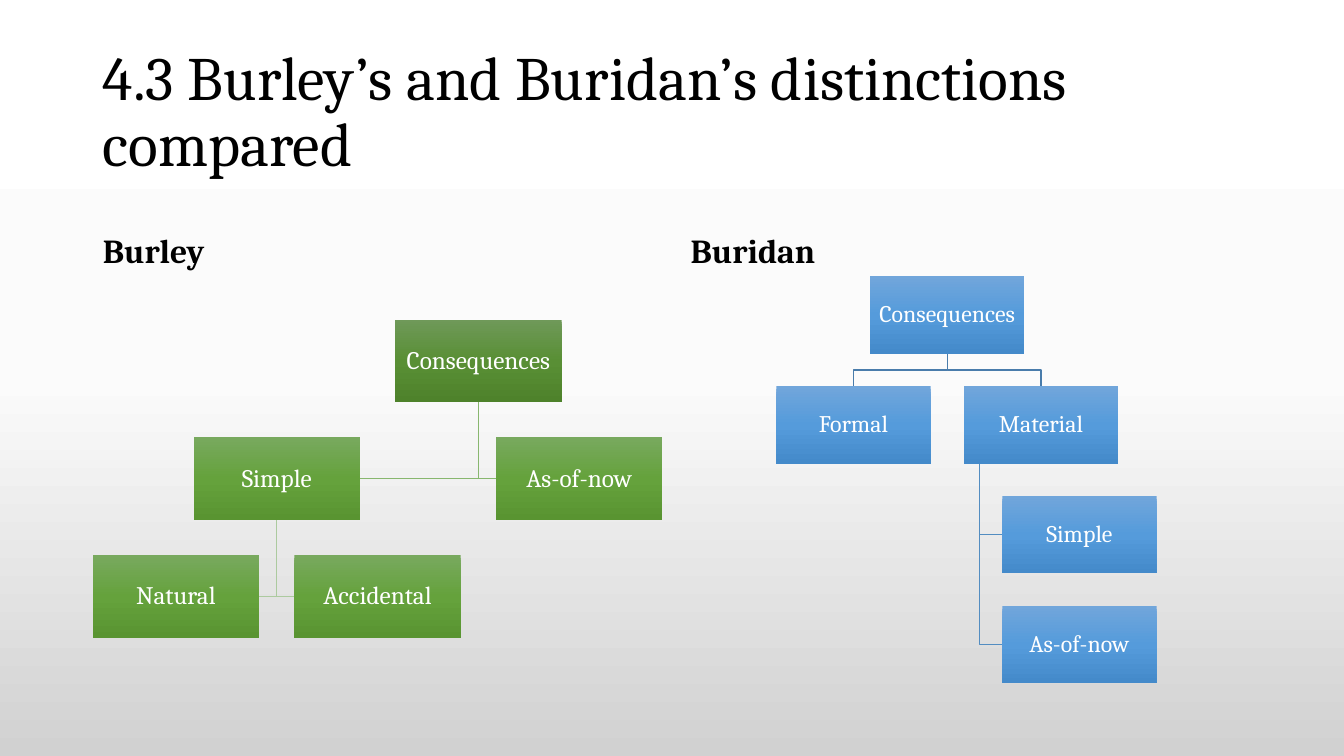
from copy import deepcopy
from dataclasses import dataclass

from pptx import Presentation
from pptx.dml.color import RGBColor
from pptx.enum.text import MSO_ANCHOR, MSO_AUTO_SIZE, PP_ALIGN
from pptx.util import Inches, Pt


@dataclass(frozen=True)
class Theme:
    font: str = "Cambria"
    ink: str = "000000"
    box_ink: str = "FFFFFF"
    title_size: int = 44
    heading_size: int = 24
    line_width: int = 1
    page: tuple = ("FFFFFF", "FBFBFB", "D1D1D1")
    blue: tuple = ("71A6DB", "559BDB", "448ACA")
    dark_green: tuple = ("6F9959", "598F35", "4E822B")
    green: tuple = ("78A95E", "65A23C", "599431")
    blue_upper_line: str = "497CAB"
    blue_lower_line: str = "538DC1"
    green_upper_line: str = "88B76F"
    green_lower_line: str = "ACCA9F"


THEME = Theme()


@dataclass(frozen=True)
class Node:
    label: str
    column: float
    row: int
    fill: tuple


@dataclass(frozen=True)
class Link:
    parent: int
    child: int
    color: str
    trunk: float = 0.5
    from_above: bool = False


@dataclass(frozen=True)
class Tree:
    left: float
    top: float
    column_step: float
    row_step: float
    width: float
    height: float
    text_size: int
    nodes: tuple
    links: tuple

    def corner(self, node: Node) -> tuple:
        return (self.left + node.column * self.column_step,
                self.top + node.row * self.row_step)


@dataclass(frozen=True)
class Heading:
    index: int
    text: str
    area: tuple
    size: int
    anchor: MSO_ANCHOR
    bold: bool = False


HEADINGS = (
    Heading(0, "4.3 Burley’s and Buridan’s distinctions compared",
            (0.92, 0.4, 11.5, 1.45), THEME.title_size, MSO_ANCHOR.MIDDLE),
    Heading(1, "Burley", (0.92, 1.84, 5.64, 0.9),
            THEME.heading_size, MSO_ANCHOR.BOTTOM, True),
    Heading(3, "Buridan", (6.75, 1.84, 5.67, 0.9),
            THEME.heading_size, MSO_ANCHOR.BOTTOM, True),
)

BURIDAN = Tree(
    7.7, 2.74, 0.93, 1.09, 1.53, 0.77, 17,
    (Node("Consequences", 1, 0, THEME.blue),
     Node("Formal", 0, 1, THEME.blue),
     Node("Material", 2, 1, THEME.blue),
     Node("Simple", 2.41, 2, THEME.blue),
     Node("As-of-now", 2.41, 3, THEME.blue)),
    (Link(2, 4, THEME.blue_lower_line, trunk=0.1),
     Link(2, 3, THEME.blue_lower_line, trunk=0.1),
     Link(0, 2, THEME.blue_upper_line, from_above=True),
     Link(0, 1, THEME.blue_upper_line, from_above=True)),
)

BURLEY = Tree(
    0.92, 3.17, 1, 1.17, 1.65, 0.82, 18,
    (Node("Consequences", 3, 0, THEME.dark_green),
     Node("Simple", 1, 1, THEME.green),
     Node("Natural", 0, 2, THEME.green),
     Node("Accidental", 2, 2, THEME.green),
     Node("As-of-now", 4, 1, THEME.green)),
    (Link(0, 4, THEME.green_upper_line),
     Link(1, 3, THEME.green_lower_line),
     Link(1, 2, THEME.green_lower_line),
     Link(0, 1, THEME.green_upper_line)),
)


def write_text(frame, text: str, *, size: int, color: str = THEME.ink,
               bold: bool = False, align: PP_ALIGN = PP_ALIGN.LEFT,
               anchor: MSO_ANCHOR = MSO_ANCHOR.MIDDLE) -> None:
    frame.word_wrap = True
    frame.auto_size = MSO_AUTO_SIZE.NONE
    frame.vertical_anchor = anchor
    para = frame.paragraphs[0]
    para.alignment = align
    para.line_spacing = 0.9
    para.space_before = Pt(0)
    span = para.add_run()
    span.text = text
    span.font.name = THEME.font
    span.font.size = Pt(size)
    span.font.bold = bold
    span.font.color.rgb = RGBColor.from_string(color)


def fill_gradient(fill, element, colors: tuple) -> None:
    fill.gradient()
    fill.gradient_angle = 270
    stop_list = element.xpath(".//a:gsLst")[0]
    stop_list.append(deepcopy(stop_list[-1]))
    for position, (stop, color) in enumerate(zip(fill.gradient_stops, colors)):
        stop.position = position / 2
        stop.color.rgb = RGBColor.from_string(color)


def draw_link(page, tree: Tree, link: Link) -> None:
    parent_left, parent_top = tree.corner(tree.nodes[link.parent])
    child_left, child_top = tree.corner(tree.nodes[link.child])
    trunk = parent_left + link.trunk * tree.width
    start = parent_top + tree.height
    if link.from_above:
        middle = (start + child_top) / 2
        center = child_left + tree.width / 2
        points = [(trunk, middle), (center, middle), (center, child_top)]
    else:
        level = child_top + tree.height / 2
        edge = child_left if child_left > trunk else child_left + tree.width
        points = [(trunk, level), (edge, level)]
    builder = page.shapes.build_freeform(Inches(trunk), Inches(start))
    builder.add_line_segments([(Inches(x), Inches(y)) for x, y in points], close=False)
    line = builder.convert_to_shape()
    line.shadow.inherit = False
    line.fill.background()
    line.line.color.rgb = RGBColor.from_string(link.color)
    line.line.width = Pt(THEME.line_width)


def draw_node(page, tree: Tree, node: Node) -> None:
    area = (*tree.corner(node), tree.width, tree.height)
    box = page.shapes.add_shape(1, *map(Inches, area))
    box.shadow.inherit = False
    box.line.fill.background()
    fill_gradient(box.fill, box.element, node.fill)
    frame = box.text_frame
    frame.margin_left = frame.margin_right = Inches(0.01)
    frame.margin_top = frame.margin_bottom = Inches(0.01)
    write_text(frame, node.label, size=tree.text_size, color=THEME.box_ink,
               align=PP_ALIGN.CENTER)


def draw_tree(page, tree: Tree) -> None:
    for link in tree.links:
        draw_link(page, tree, link)
    for node in tree.nodes:
        draw_node(page, tree, node)


def main() -> None:
    deck = Presentation()
    deck.slide_width, deck.slide_height = Inches(13.33), Inches(7.5)
    page = deck.slides.add_slide(deck.slide_layouts.get_by_name("Comparison"))
    fill_gradient(page.background.fill, page.element, THEME.page)
    holders = {box.placeholder_format.idx: box for box in page.placeholders}
    for heading in HEADINGS:
        box = holders.pop(heading.index)
        box.left, box.top, box.width, box.height = map(Inches, heading.area)
        write_text(box.text_frame, heading.text, size=heading.size,
                   bold=heading.bold, anchor=heading.anchor)
    for box in holders.values():
        box.element.getparent().remove(box.element)
    for tree in (BURIDAN, BURLEY):
        draw_tree(page, tree)
    deck.save("out.pptx")


if __name__ == "__main__":
    main()
